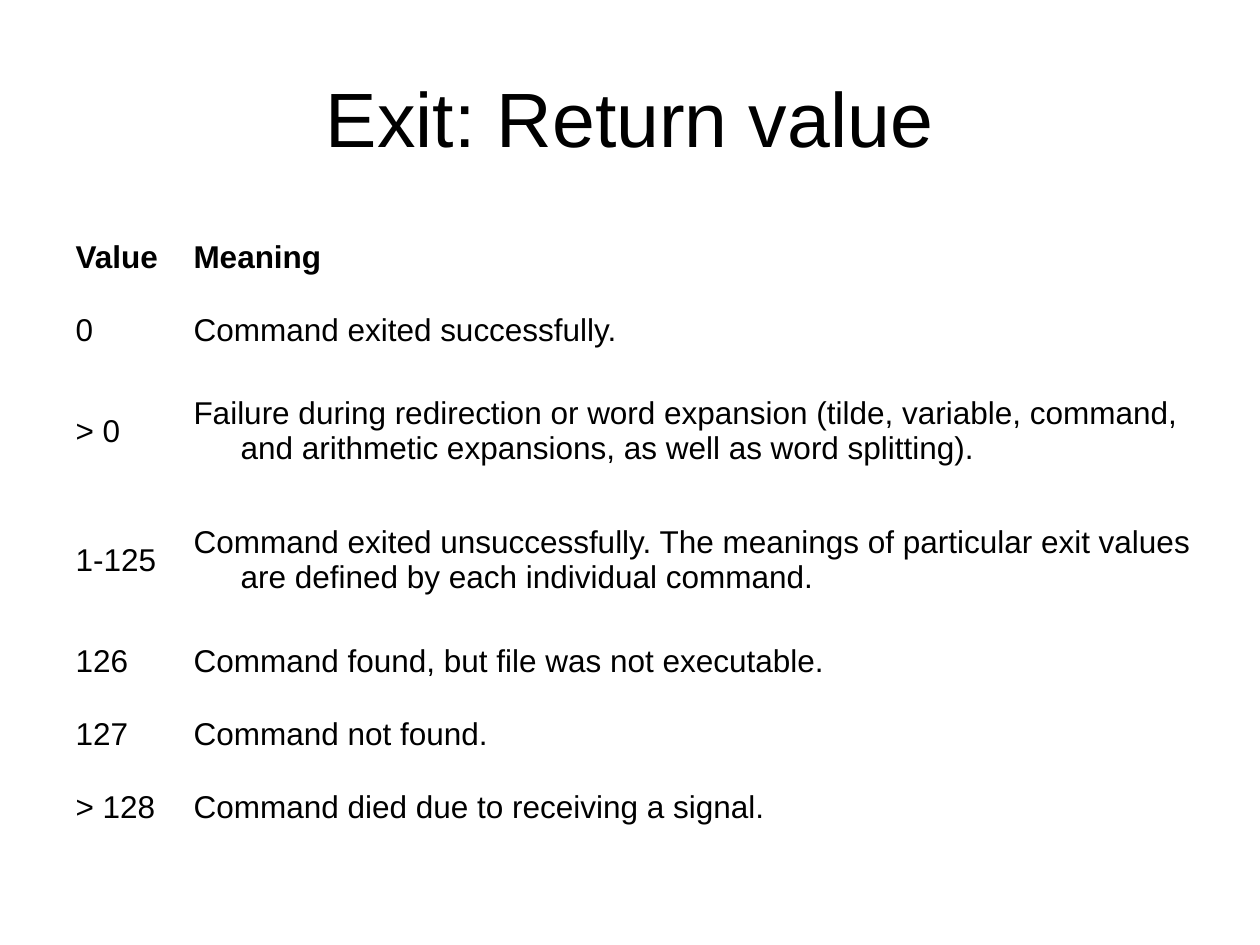
from pptx import Presentation
from pptx.dml.color import RGBColor
from pptx.enum.text import MSO_ANCHOR, MSO_AUTO_SIZE, PP_ALIGN
from pptx.util import Pt

PX = 914400 // 126
BLACK = "000000"
HANGING = 47
ROW_H = {1: 73, 2: 129}
COL_W = [118, 1037]
ROWS = [
    ("Value", "Meaning", 1),
    ("0", "Command exited successfully.", 1),
    ("> 0", "Failure during redirection or word expansion (tilde, variable, "
     "command, and arithmetic expansions, as well as word splitting).", 2),
    ("1-125", "Command exited unsuccessfully. The meanings of particular exit "
     "values are defined by each individual command.", 2),
    ("126", "Command found, but file was not executable.", 1),
    ("127", "Command not found.", 1),
    ("> 128", "Command died due to receiving a signal.", 1),
]


def color(hex_string):
    """Return the colour for a hex string."""
    return RGBColor.from_string(hex_string)


def add_run(p, text, size, bold=False):
    """Add a black Arial run to a paragraph."""
    r = p.add_run()
    r.text = text
    r.font.name = "Arial"
    r.font.size = Pt(size)
    r.font.bold = bold
    r.font.color.rgb = color(BLACK)


prs = Presentation()
prs.slide_width, prs.slide_height = 1260 * PX, 945 * PX
s = prs.slides.add_slide(prs.slide_layouts[5])
s.background.fill.solid()
s.background.fill.fore_color.rgb = color("FFFFFF")

title = s.shapes.title
title.left, title.top, title.width, title.height = (
    v * PX for v in (63, 38, 1134, 158))
tf = title.text_frame
tf.auto_size = MSO_AUTO_SIZE.NONE
tf.vertical_anchor = MSO_ANCHOR.MIDDLE
p = tf.paragraphs[0]
p.alignment = PP_ALIGN.CENTER
add_run(p, "Exit: Return value", 44)

table_height = sum(ROW_H[lines] for *_, lines in ROWS)
table = s.shapes.add_table(len(ROWS), len(COL_W), 63 * PX, 221 * PX,
                           sum(COL_W) * PX, table_height * PX).table
table.first_row = table.horz_banding = False
for column, width in zip(table.columns, COL_W):
    column.width = width * PX

for i, (*texts, lines) in enumerate(ROWS):
    table.rows[i].height = ROW_H[lines] * PX
    for j, text in enumerate(texts):
        cell = table.cell(i, j)
        cell.fill.background()
        cell.vertical_anchor = MSO_ANCHOR.MIDDLE
        p = cell.text_frame.paragraphs[0]
        pPr = p._p.get_or_add_pPr()
        pPr.set("marL", str(HANGING * PX))
        pPr.set("indent", str(-HANGING * PX))
        add_run(p, text, 18, bold=i == 0)

prs.save("out.pptx")
